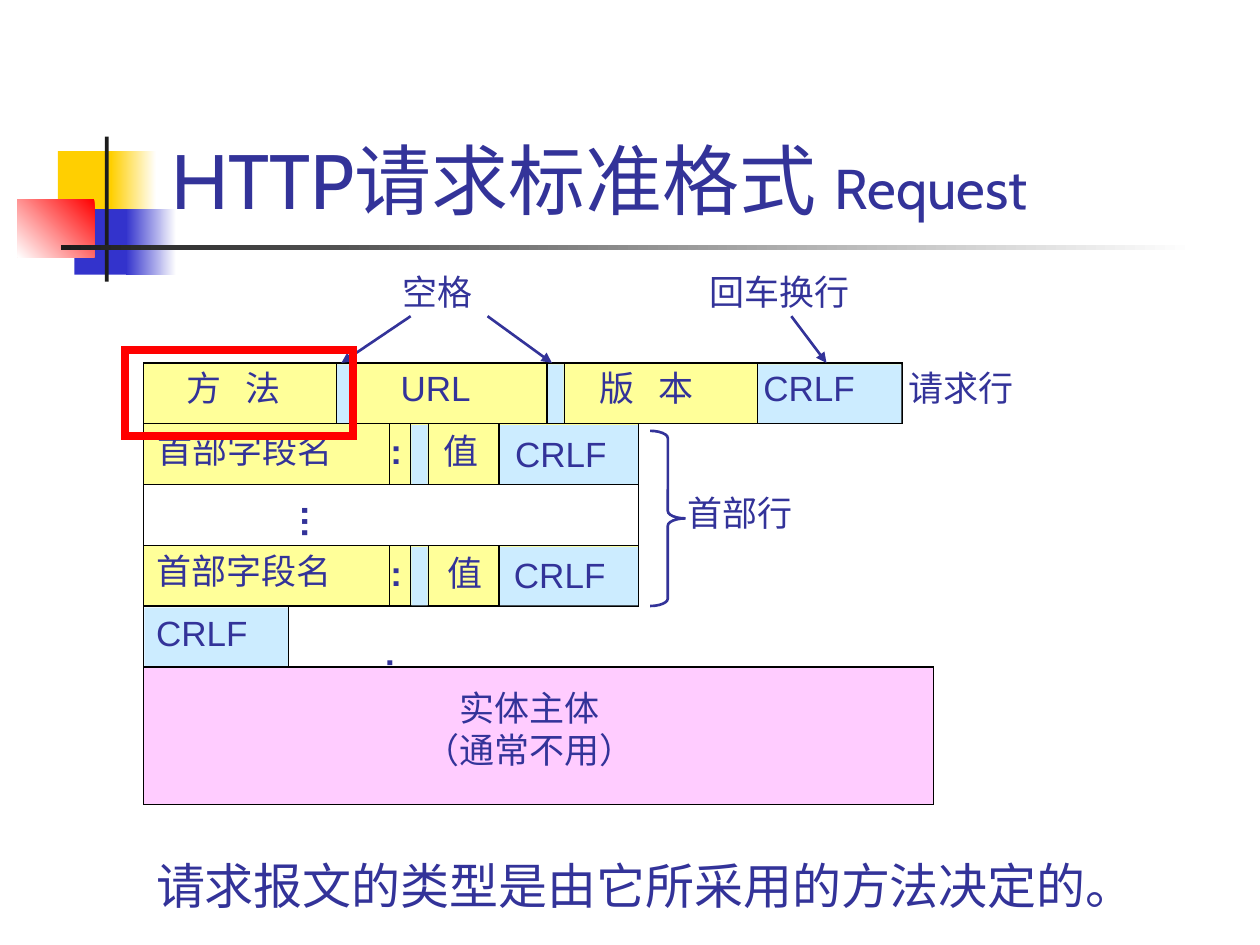
from dataclasses import dataclass
from typing import NamedTuple, Optional

import pptx
import pptx.dml.color
import pptx.enum.shapes
import pptx.enum.text
import pptx.oxml
import pptx.oxml.ns
import pptx.util

Pt = pptx.util.Pt
Form = pptx.enum.shapes.MSO_SHAPE
Align = pptx.enum.text.PP_ALIGN


@dataclass(frozen=True)
class Theme:
    ink: str = "333399"
    black: str = "000000"
    white: str = "FFFFFF"
    dark: str = "1C1C1C"
    gold: str = "FFCF01"
    blue: str = "3333CC"
    red: str = "FF0000"
    cream: str = "FFFF99"
    sky: str = "CCECFF"
    pink: str = "FFCCFF"
    latin: str = "Arial"
    head: str = "Cabin"
    asian: str = "Noto Sans CJK SC"
    title: float = 44
    sub: float = 32
    note: float = 28
    body: float = 20
    thin: float = 0.74
    mid: float = 1.5
    thick: float = 4.51


theme = Theme()


class Box(NamedTuple):
    x: float
    y: float
    w: float
    h: float
    fill: Optional[str] = None
    fade: Optional[str] = None
    angle: float = 180
    line: Optional[str] = None
    width: float = theme.thin


class Label(NamedTuple):
    x: float
    y: float
    w: float
    text: str
    h: float = 31.5
    bold: bool = False
    turn: float = 0
    gap: float = 0
    size: float = theme.body
    font: str = theme.latin
    align: Align = Align.LEFT


class Line(NamedTuple):
    x: float
    y: float
    to_x: float
    to_y: float
    color: str = theme.black
    width: float = theme.thin
    arrow: bool = False


deck = pptx.Presentation()
deck.slide_width, deck.slide_height = Pt(720), Pt(540)
slide = deck.slides.add_slide(deck.slide_layouts[6])
shapes = slide.shapes
SPACE = pptx.oxml.ns.nsdecls("a")


def shade(code: str) -> pptx.dml.color.RGBColor:
    return pptx.dml.color.RGBColor.from_string(code)


def draw_box(box: Box, form: Form = Form.RECTANGLE):
    shape = shapes.add_shape(form, Pt(box.x), Pt(box.y), Pt(box.w), Pt(box.h))
    shape.shadow.inherit = False
    if box.fade:
        shape.fill.gradient()
        shape.fill.gradient_angle = box.angle
        for stop, code in zip(shape.fill.gradient_stops, (box.fill, box.fade)):
            stop.color.rgb = shade(code)
    elif box.fill:
        shape.fill.solid()
        shape.fill.fore_color.rgb = shade(box.fill)
    else:
        shape.fill.background()
    if box.line:
        shape.line.color.rgb = shade(box.line)
        shape.line.width = Pt(box.width)
        shape.line._get_or_add_ln().append(pptx.oxml.parse_xml(f'<a:miter {SPACE} lim="800000"/>'))
    else:
        shape.line.fill.background()
    return shape


def style(run, size: float, font: str, bold: bool = False, gap: float = 0) -> None:
    run.font.size, run.font.name, run.font.bold = Pt(size), font, bold
    run.font.color.rgb = shade(theme.ink)
    props = run.font._element
    if gap:
        props.set("spc", str(round(gap * 100)))
    asian = pptx.oxml.parse_xml(f'<a:ea {SPACE} typeface="{theme.asian}"/>')
    props.find(pptx.oxml.ns.qn("a:latin")).addnext(asian)


def draw_label(label: Label):
    slack = 10 if label.align == Align.LEFT and not label.turn else 0
    shape = shapes.add_textbox(Pt(label.x), Pt(label.y), Pt(label.w + slack), Pt(label.h))
    shape.rotation = label.turn
    frame = shape.text_frame
    frame.word_wrap = False
    frame.text = label.text
    for para in frame.paragraphs:
        para.alignment = label.align
        for run in para.runs:
            style(run, label.size, label.font, label.bold, label.gap)
    return shape


def draw_line(line: Line) -> None:
    link = shapes.add_connector(pptx.enum.shapes.MSO_CONNECTOR.STRAIGHT,
                                Pt(line.x), Pt(line.y), Pt(line.to_x), Pt(line.to_y))
    link.line.color.rgb = shade(line.color)
    link.line.width = Pt(line.width)
    if line.arrow:
        link.line._get_or_add_ln().append(pptx.oxml.parse_xml(f'<a:tailEnd {SPACE} type="triangle"/>'))
    link._element.spPr.append(pptx.oxml.parse_xml(f"<a:effectLst {SPACE}/>"))


LEFT, PITCH = 82.1, 34.75
first, upper, dots, lower, blank, base = [207.4 + PITCH * step for step in range(6)]
START = (192.2, 202.3, 312.5, 322.6, 432.7, 515.5)
FIELD = (222.5, 234.7, 244.8, 285.1, 365)
STUB = 164.9

for box in (
    Box(33.1, 86.4, 34.6, 37.4, theme.gold),
    Box(63.4, 86.4, 25.9, 37.4, theme.white, theme.gold),
    Box(42.5, 119.5, 33.1, 37.4, theme.blue),
    Box(72, 119.5, 28.8, 37.4, theme.white, theme.blue),
    Box(10, 113.8, 44, 33.1, theme.red, theme.white, 225),
    Box(59.9, 78.1, 2.2, 82.8, theme.dark),
    Box(34.9, 140.2, 648, 2.5, theme.white, theme.dark),
):
    draw_box(box)

title = draw_label(Label(90.7, 16.6, 603.4, "HTTP请求标准格式 ", 115.2, size=theme.title, font=theme.head))
title.text_frame.word_wrap = True
title.text_frame.vertical_anchor = pptx.enum.text.MSO_ANCHOR.BOTTOM
word = title.text_frame.paragraphs[0].add_run()
word.text = "Request"
style(word, theme.sub, theme.head)

for top, end in ((lower, FIELD[-1]), (upper, FIELD[-1]), (first, START[-1])):
    draw_box(Box(LEFT, top, end - LEFT, PITCH, theme.cream, line=theme.black))

spans = [(first, *START[at:at + 2]) for at in (0, 2, 4)] + [(blank, LEFT, STUB)]
spans += [(top, *FIELD[at:at + 2]) for top in (upper, lower) for at in (1, 3)]
for top, x, end in spans:
    draw_box(Box(x + 0.4, top + 0.8, end - x - 0.8, PITCH - 1.2, theme.sky))

edges = [(first, x) for x in START[:-1]]
edges += [(top, x) for top in (upper, lower) for x in FIELD[:-1]]
edges += [(dots, LEFT), (dots, FIELD[-1]), (blank, LEFT), (blank, STUB)]
for top, x in edges:
    draw_line(Line(x, top, x, top + PITCH))

draw_label(Label(212.4, 364.3, 20.9, ":", bold=True))
draw_box(Box(LEFT, base, 451.4, 78.5, theme.pink, line=theme.black))

for label in (
    Label(99.4, 205.9, 73.5, "方 法", gap=4.7),
    Label(221.8, 205.9, 54, "URL"),
    Label(335.5, 205.9, 73.5, "版 本", gap=4.7),
    Label(429.1, 205.9, 66.2, "CRLF"),
    Label(511.9, 205.9, 74.2, "请求行"),
    Label(82.8, 241.2, 114.5, "首部字段名"),
    Label(216, 241.9, 20.9, ":", bold=True),
    Label(246.2, 241.9, 34.6, "值"),
    Label(287.3, 243.4, 66.2, "CRLF"),
    Label(150.5, 282.2, 34.6, "…", bold=True, turn=270),
    Label(385.9, 277.2, 74.2, "首部行"),
    Label(82.1, 310.3, 114.5, "首部字段名"),
    Label(216, 311.8, 20.9, ":", bold=True),
    Label(248.4, 311.8, 34.6, "值"),
    Label(286.6, 312.5, 66.2, "CRLF"),
    Label(82.1, 345.6, 66.2, "CRLF"),
    Label(235.4, 388.8, 134.6, "实体主体\n（通常不用）", 55.4, align=Align.CENTER),
    Label(223.2, 151.2, 54, "空格"),
    Label(398.2, 151.2, 94.3, "回车换行"),
    Label(82.1, 485.3, 579.6, "请求报文的类型是由它所采用的方法决定的。", 41,
          size=theme.note, font=theme.asian),
):
    draw_label(label)

for x, end in ((278.6, 315.4), (234.7, 195.1), (452.2, 472.3)):
    draw_line(Line(x, 180.7, end, first, theme.ink, theme.mid, True))

brace = draw_box(Box(371.5, 246.2, 20.2, 100.1, line=theme.ink, width=theme.mid), Form.RIGHT_BRACE)
brace.adjustments[0] = 0.21
draw_box(Box(71.3, 200.2, 130.3, 49, line=theme.red, width=theme.thick))

deck.save("out.pptx")
